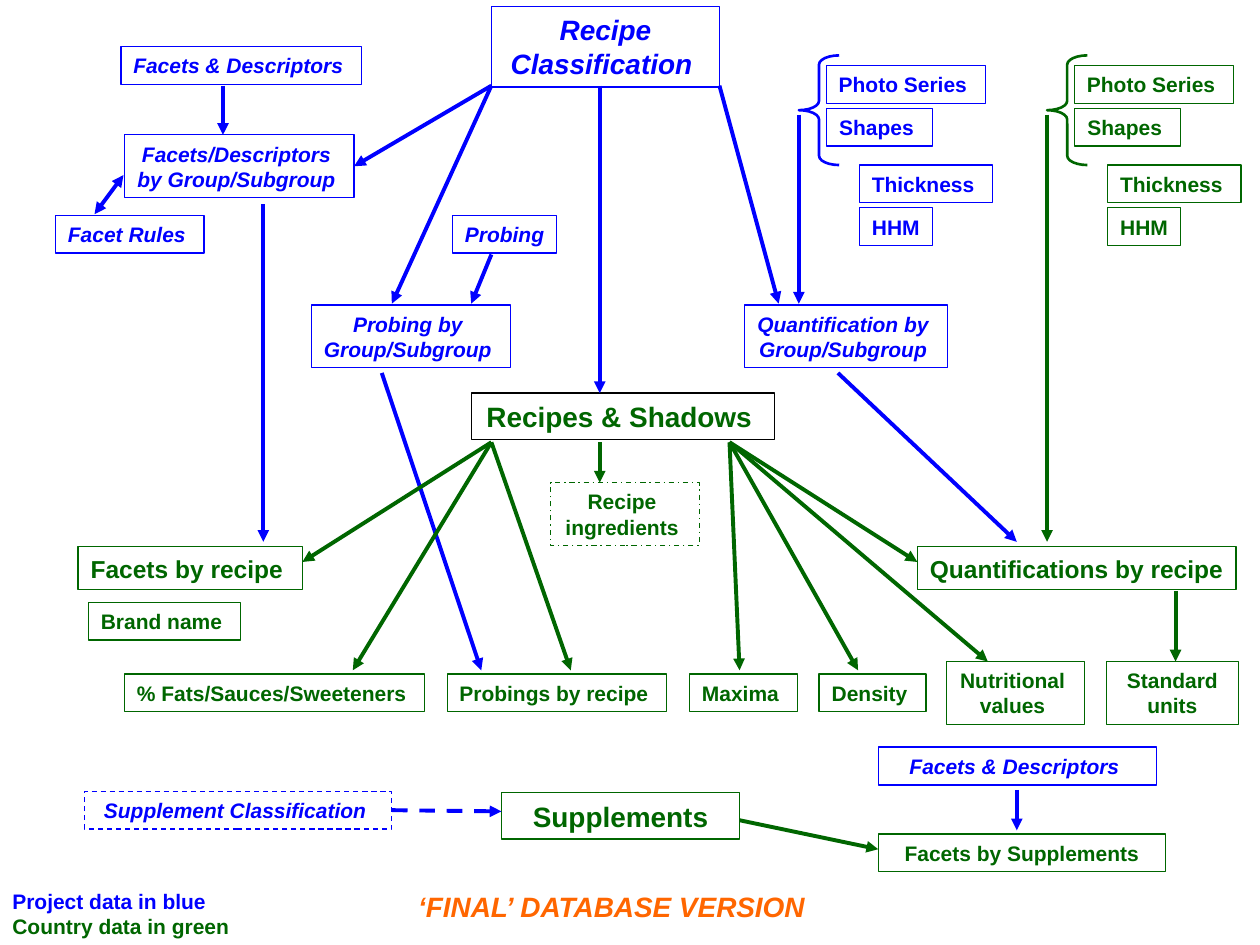
from dataclasses import dataclass

from lxml import etree
from pptx import Presentation
from pptx import util as u
from pptx.dml.color import RGBColor
from pptx.enum import dml, shapes, text
from pptx.oxml.ns import qn

PX = 9144  # EMU per px, at 100 px to the inch


@dataclass(frozen=True)
class Theme:
    font: str = "Arial"
    blue: str = "0000FF"
    green: str = "006600"
    orange: str = "FF6600"
    black: str = "000000"
    small: int = 12
    medium: int = 14
    large: int = 16
    outline: float = 0.75
    brace: float = 1.5
    arrow: float = 2.25


THEME = Theme()
BLUE, GREEN = THEME.blue, THEME.green
DASH = dml.MSO_LINE.DASH
DASH_DOT = dml.MSO_LINE.DASH_DOT

# text, (left, top, width, height), special formatting
PROJECT_BOXES = [
    ("Recipe Classification ", (390, 5, 181, 64), {"size": THEME.large, "wrap": True}),
    ("Facets & Descriptors ", (96, 37, 191, 30), {}),
    ("Facets/Descriptors \nby Group/Subgroup ", (99, 107, 182, 50), {}),
    ("Facet Rules ", (44, 171, 118, 30), {}),
    ("Quantification by \nGroup/Subgroup ", (591, 242, 161, 50), {}),
    ("Probing by \nGroup/Subgroup ", (247, 242, 158, 50), {}),
    ("Probing", (359, 171, 83, 30), {}),
    ("Supplement Classification ", (67, 628, 244, 30), {"dash": DASH}),
    ("Facets & Descriptors ", (697, 593, 221, 30), {}),
]
COUNTRY_BOXES = [
    ("Recipes & Shadows ", (374, 312, 241, 37), {"size": THEME.large, "outline": THEME.black}),
    ("Recipe \ningredients ", (437, 383, 118, 50), {"dash": DASH_DOT}),
    ("Facets by recipe ", (62, 434, 178, 34), {"size": THEME.medium}),
    ("Brand name ", (70, 478, 121, 30), {}),
    ("Quantifications by recipe", (728, 434, 253, 34), {"size": THEME.medium}),
    ("% Fats/Sauces/Sweeteners ", (99, 535, 238, 30), {}),
    ("Probings by recipe ", (355, 535, 174, 30), {}),
    ("Maxima ", (547, 535, 86, 30), {}),
    ("Density ", (650, 535, 85, 30), {}),
    ("Nutritional \nvalues ", (751, 525, 110, 50), {}),
    ("Standard units", (878, 525, 105, 50), {"wrap": True}),
    ("Supplements", (398, 629, 189, 37), {"size": THEME.large}),
    ("Facets by Supplements", (697, 662, 228, 30), {}),
]

# Each group of measures hangs off a brace; positions count from the brace's left
MEASURES = [
    ("Photo Series ", (22, 52, 126, 30)),
    ("Shapes ", (22, 86, 84, 30)),
    ("Thickness ", (48, 131, 106, 30)),
    ("HHM", (48, 165, 58, 30)),
]
BRACE = (0, 44, 32, 87)
MEASURE_GROUPS = [(634, BLUE), (831, GREEN)]

# colour, start, ends, special formatting
ARROWS = [
    (BLUE, (390, 68), [(280, 131), (311, 241)], {}),
    (BLUE, (571, 68), [(618, 241)], {}),
    (BLUE, (476, 68), [(476, 312)], {}),
    (BLUE, (634, 91), [(634, 241)], {}),
    (BLUE, (177, 68), [(177, 107)], {}),
    (BLUE, (98, 139), [(75, 170)], {"both": True}),
    (BLUE, (209, 162), [(209, 430)], {}),
    (BLUE, (390, 202), [(374, 241)], {}),
    (BLUE, (303, 296), [(382, 532)], {}),
    (BLUE, (665, 296), [(807, 430)], {}),
    (BLUE, (311, 644), [(398, 644)], {"dash": DASH}),
    (BLUE, (807, 627), [(807, 659)], {}),
    (GREEN, (831, 91), [(831, 430)], {}),
    (GREEN, (390, 351), [(240, 446), (280, 532), (453, 532)], {}),
    (GREEN, (476, 351), [(476, 383)], {}),
    (GREEN, (579, 351), [(587, 532), (681, 532), (784, 525), (728, 446)], {}),
    (GREEN, (933, 469), [(933, 525)], {}),
    (GREEN, (587, 651), [(697, 674)], {}),
]
LEGEND = [("Project data in blue", BLUE), ("Country data in green", GREEN)]
HEADING = "‘FINAL’ DATABASE VERSION "


def emu(lengths):
    return [round(length * PX) for length in lengths]


def rgb(colour):
    return RGBColor.from_string(colour)


def style(para, colour, size=THEME.small, italic=False, align=text.PP_ALIGN.CENTER):
    para.alignment = align
    font = para.font
    font.name, font.size = THEME.font, u.Pt(size)
    font.bold, font.italic = True, italic
    font.color.rgb = rgb(colour)


def draw_line(line, colour, width, dash=None):
    line.color.rgb = rgb(colour)
    line.width = u.Pt(width)
    if dash:
        line.dash_style = dash


def add_box(slide, words, place, colour, italic=False, size=THEME.small,
            outline=None, dash=None, wrap=False):
    box = slide.shapes.add_shape(shapes.MSO_SHAPE.RECTANGLE, *emu(place))
    box.shadow.inherit = False
    box.fill.background()
    draw_line(box.line, outline or colour, THEME.outline, dash)
    frame = box.text_frame
    frame.word_wrap = wrap
    frame.vertical_anchor = text.MSO_ANCHOR.MIDDLE
    frame.text = words
    for para in frame.paragraphs:
        style(para, colour, size, italic)
    return box


def add_brace(slide, place, colour):
    brace = slide.shapes.add_shape(shapes.MSO_SHAPE.LEFT_BRACE, *emu(place))
    brace.adjustments[0] = 0.23
    brace.shadow.inherit = False
    brace.fill.background()
    draw_line(brace.line, colour, THEME.brace)


def join(connect, point, boxes):
    """Attach a connector end to a box side whose middle lies within 2 px."""
    x, y = emu(point)
    for box in boxes:
        middle_x, middle_y = box.left + box.width // 2, box.top + box.height // 2
        sides = [(middle_x, box.top), (box.left, middle_y),
                 (middle_x, box.top + box.height), (box.left + box.width, middle_y)]
        for site, (side_x, side_y) in enumerate(sides):
            if max(abs(side_x - x), abs(side_y - y)) <= 2 * PX:
                connect(box, site)


def add_arrow(slide, colour, start, end, boxes, dash=None, both=False):
    arrow = slide.shapes.add_connector(shapes.MSO_CONNECTOR.STRAIGHT, *emu(start + end))
    join(arrow.begin_connect, start, boxes)
    join(arrow.end_connect, end, boxes)
    draw_line(arrow.line, colour, THEME.arrow, dash)
    outline = arrow.line._get_or_add_ln()
    for tag in ["a:headEnd", "a:tailEnd"] if both else ["a:tailEnd"]:
        etree.SubElement(outline, qn(tag), type="triangle")
    etree.SubElement(arrow._element.spPr, qn("a:effectLst"))


def add_heading(slide):
    title = slide.shapes.title
    title.left, title.top, title.width, title.height = emu((319, 701, 339, 37))
    frame = title.text_frame
    frame.auto_size = text.MSO_AUTO_SIZE.NONE
    frame.vertical_anchor = text.MSO_ANCHOR.TOP
    frame.text = HEADING
    style(frame.paragraphs[0], THEME.orange, THEME.large, italic=True)


def add_legend(slide):
    frame = slide.shapes.add_textbox(*emu((0, 700, 193, 50))).text_frame
    frame.word_wrap = True
    frame.text = "\n".join(words for words, _ in LEGEND)
    for para, (_, colour) in zip(frame.paragraphs, LEGEND):
        style(para, colour, align=text.PP_ALIGN.LEFT)


def main():
    deck = Presentation()
    deck.slide_width, deck.slide_height = emu((1000, 750))
    slide = deck.slides.add_slide(deck.slide_layouts[5])
    add_heading(slide)
    boxes = [add_box(slide, words, place, BLUE, italic=True, **look)
             for words, place, look in PROJECT_BOXES]
    boxes += [add_box(slide, words, place, GREEN, **look)
              for words, place, look in COUNTRY_BOXES]
    for left, colour in MEASURE_GROUPS:
        for words, (offset, *rest) in MEASURES:
            add_box(slide, words, (left + offset, *rest), colour)
        add_brace(slide, (left + BRACE[0], *BRACE[1:]), colour)
    for colour, start, ends, look in ARROWS:
        for end in ends:
            add_arrow(slide, colour, start, end, boxes, **look)
    add_legend(slide)
    deck.save("out.pptx")


if __name__ == "__main__":
    main()
